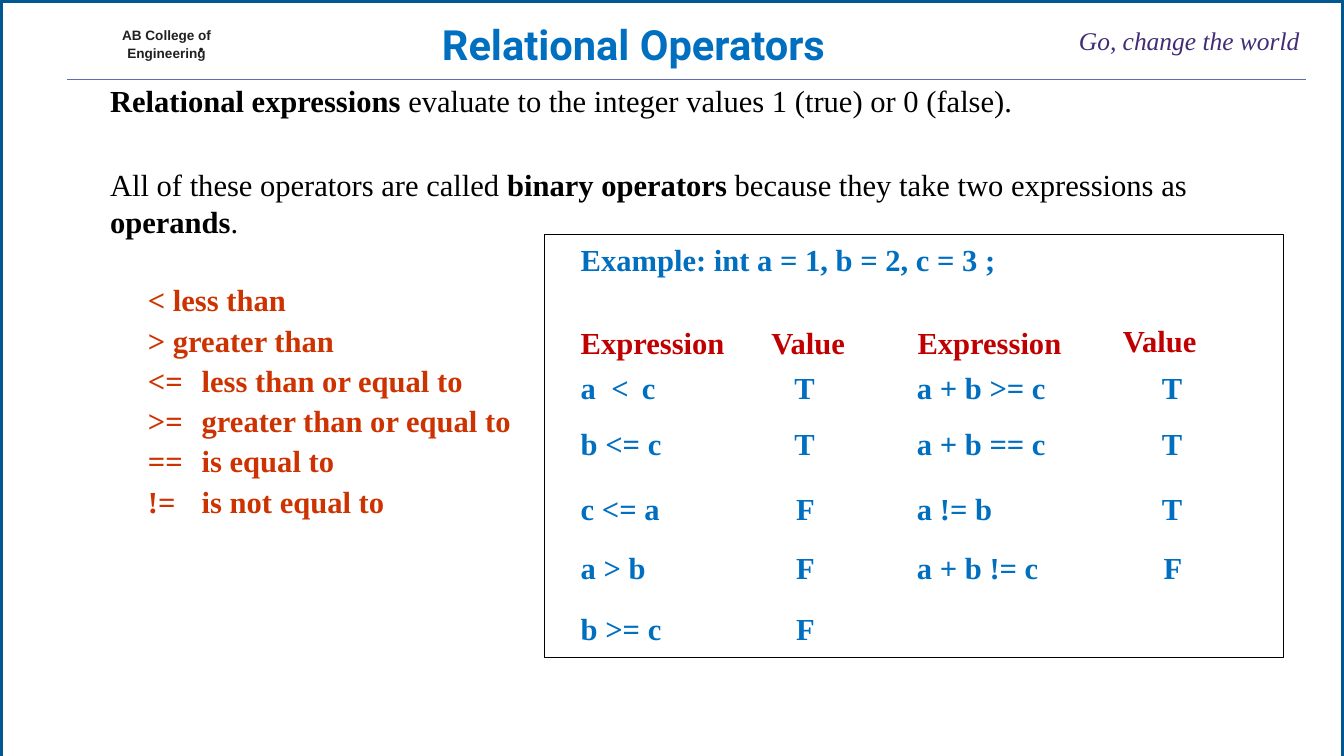
"""Build the Relational Operators slide."""
from lxml.etree import SubElement
from pptx import Presentation
from pptx.dml.color import RGBColor
from pptx.enum.shapes import MSO_CONNECTOR, MSO_SHAPE
from pptx.enum.text import MSO_ANCHOR, MSO_AUTO_SIZE, PP_ALIGN
from pptx.oxml.ns import qn
from pptx.util import Inches, Pt

COLORS = {"frame": "005792", "rule": "5E6CB3", "ink": "221F1F", "motto": "422C75",
          "blue": "006FC0", "black": "000000", "orange": "CC3300", "red": "C00000"}
SERIF = "Times New Roman"


def write(para, text, color, size=36, font=SERIF, bold=True, italic=False, before=0, tabs=()):
    """Fill a paragraph; parts between ** marks are bold."""
    if tabs:
        tab_list = SubElement(para._p.get_or_add_pPr(), qn("a:tabLst"))
        for position in tabs:
            SubElement(tab_list, qn("a:tab"), pos=str(Inches(position)), algn="l")
    para.space_before = Pt(before)
    para.font.size, para.font.name = Pt(size), font
    para.font.bold, para.font.italic = bold, italic
    para.font.color.rgb = RGBColor.from_string(COLORS[color])
    for index, part in enumerate(text.split("**")):
        if part:
            span = para.add_run()
            span.text = part
            if index % 2:
                span.font.bold = True


def prepare(box, left, top, width, height, inset=0.01):
    """Place a text shape and return its frame."""
    box.left, box.top, box.width, box.height = map(Inches, (left, top, width, height))
    frame = box.text_frame
    frame.word_wrap = True
    frame.auto_size = MSO_AUTO_SIZE.NONE
    frame.vertical_anchor = MSO_ANCHOR.TOP
    frame.margin_left = frame.margin_right = frame.margin_bottom = 0
    frame.margin_top = Inches(inset)
    return frame


deck = Presentation()
deck.slide_width, deck.slide_height = Pt(1583), Pt(890)
page = deck.slides.add_slide(deck.slide_layouts[5])
shapes = page.shapes

right, bottom = deck.slide_width, deck.slide_height
builder = shapes.build_freeform(right, bottom, scale=1.0)
builder.add_line_segments([(right, 0), (0, 0), (0, bottom)], close=False)
frame_line = builder.convert_to_shape()
example_box = shapes.add_shape(MSO_SHAPE.RECTANGLE, Inches(8.9), Inches(3.83), Inches(12.1), Inches(6.92))
for outline, color, weight in ((frame_line, "frame", 6), (example_box, "black", 0.75)):
    outline.shadow.inherit = False
    outline.fill.background()
    outline.line.color.rgb = RGBColor.from_string(COLORS[color])
    outline.line.width = Pt(weight)

rule = shapes.add_connector(MSO_CONNECTOR.STRAIGHT, Inches(1.1), Inches(1.3), Inches(21.36), Inches(1.3))
rule.line.color.rgb = RGBColor.from_string(COLORS["rule"])
rule.line.width = Pt(1.23)
SubElement(rule._element.spPr, qn("a:effectLst"))

mark = shapes.add_shape(MSO_SHAPE.OVAL, Inches(3.26), Inches(0.78), Inches(0.06), Inches(0.06))
mark.shadow.inherit = False
mark.fill.solid()
mark.fill.fore_color.rgb = RGBColor.from_string(COLORS["ink"])
mark.line.fill.background()

title = prepare(shapes.title, 7.23, 0.3, 6.57, 0.84).paragraphs[0]
title.alignment = PP_ALIGN.LEFT
write(title, "Relational Operators", "blue", size=49, font="Roboto", before=1)

college = prepare(shapes.add_textbox(0, 0, 0, 0), 1.99, 0.41, 1.47, 0.61).paragraphs[0]
college.alignment = PP_ALIGN.CENTER
college.line_spacing = 1.09
write(college, "AB College of Engineering", "ink", size=16, font="Arial", before=1)

motto = prepare(shapes.add_textbox(0, 0, 0, 0), 17.65, 0.4, 3.7, 0.53).paragraphs[0]
write(motto, "Go, change the world", "motto", size=30, bold=False, italic=True, before=1)

text_blocks = [
    ((1.8, 1.33, 17.7, 2.58), [
        ("**Relational expressions** evaluate to the integer values 1 (true) or 0 (false).",
         dict(color="black", bold=False, before=1)),
        ("All of these operators are called **binary operators** because they take two expressions as",
         dict(color="black", bold=False, before=55.5)),
        ("**operands**.", dict(color="black", bold=False, before=0.3))]),
    ((2.42, 4.53, 6.1, 3.97, 0.07), [
        (text, dict(color="orange", before=4.2, tabs=(0.88,))) for text in (
            "< less than", "> greater than", "<=\tless than or equal to",
            ">=\tgreater than or equal to", "==\tis equal to", "!=\tis not equal to")]),
    ((9.5, 3.93, 7.89, 1.95), [
        ("Example: int a = 1, b = 2, c = 3 ;", dict(color="blue", before=1)),
        ("Expression\tValue\tExpression", dict(color="red", before=54.3, tabs=(3.12, 5.51)))]),
    ((18.37, 5.25, 1.28, 0.63), [("Value", dict(color="red", before=1))]),
]
for place, lines in text_blocks:
    frame = prepare(shapes.add_textbox(0, 0, 0, 0), *place)
    for index, (text, style) in enumerate(lines):
        para = frame.add_paragraph() if index else frame.paragraphs[0]
        write(para, text, **style)

column_widths = (2.45, 2.26, 3.88, 1.32)
left_margins = (0.04, 0, 0.83, 0)
right_margins = (0, 0.84, 0, 0.03)
rows = [
    (0.76, 0, 0, 39.3, ("a\t<\tc", "T", "a + b >= c", "T")),
    (1.01, 0.15, 10.8, None, ("b <= c", "T", "a + b == c", "T")),
    (1.01, 0.2, 14.1, None, ("c <= a", "F", "a != b", "T")),
    (0.96, 0.15, 10.6, None, ("a > b", "F", "a + b != c", "F")),
    (0.75, 0.15, 10.6, 42.8, ("b >= c", "F", "", "")),
]
table = shapes.add_table(len(rows), len(column_widths), Inches(9.46), Inches(6.1),
                         Inches(9.91), Inches(4.49)).table
table.first_row = table.horz_banding = False
for column, width in zip(table.columns, column_widths):
    column.width = Inches(width)
for row, (height, inset, before, leading, texts) in zip(table.rows, rows):
    row.height = Inches(height)
    for index, (cell, text) in enumerate(zip(row.cells, texts)):
        cell.fill.background()
        cell.margin_left = Inches(left_margins[index])
        cell.margin_right = Inches(right_margins[index])
        cell.margin_top, cell.margin_bottom = Inches(inset), 0
        para = cell.text_frame.paragraphs[0]
        write(para, text, "blue", before=before, tabs=(0.5, 1) if "\t" in text else ())
        para.alignment = PP_ALIGN.RIGHT if index % 2 else PP_ALIGN.LEFT
        if leading:
            para.line_spacing = Pt(leading)

deck.save("out.pptx")
